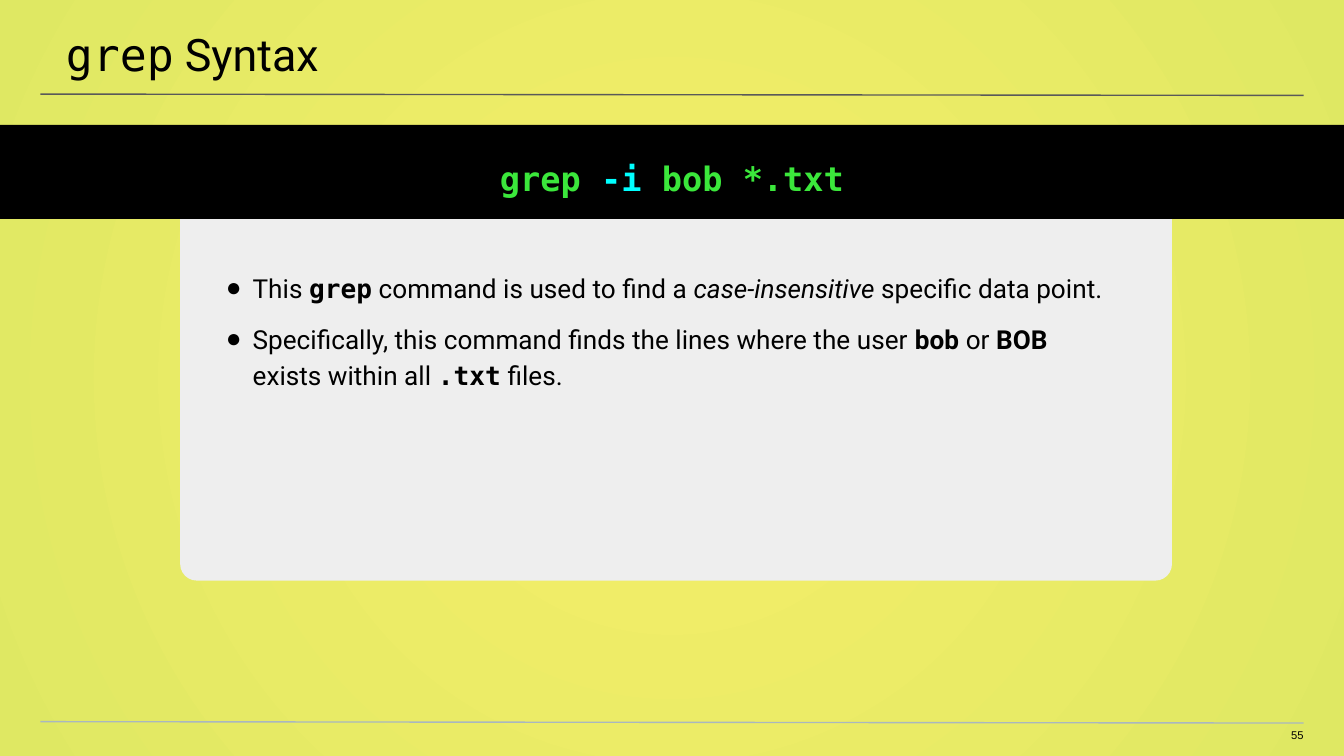
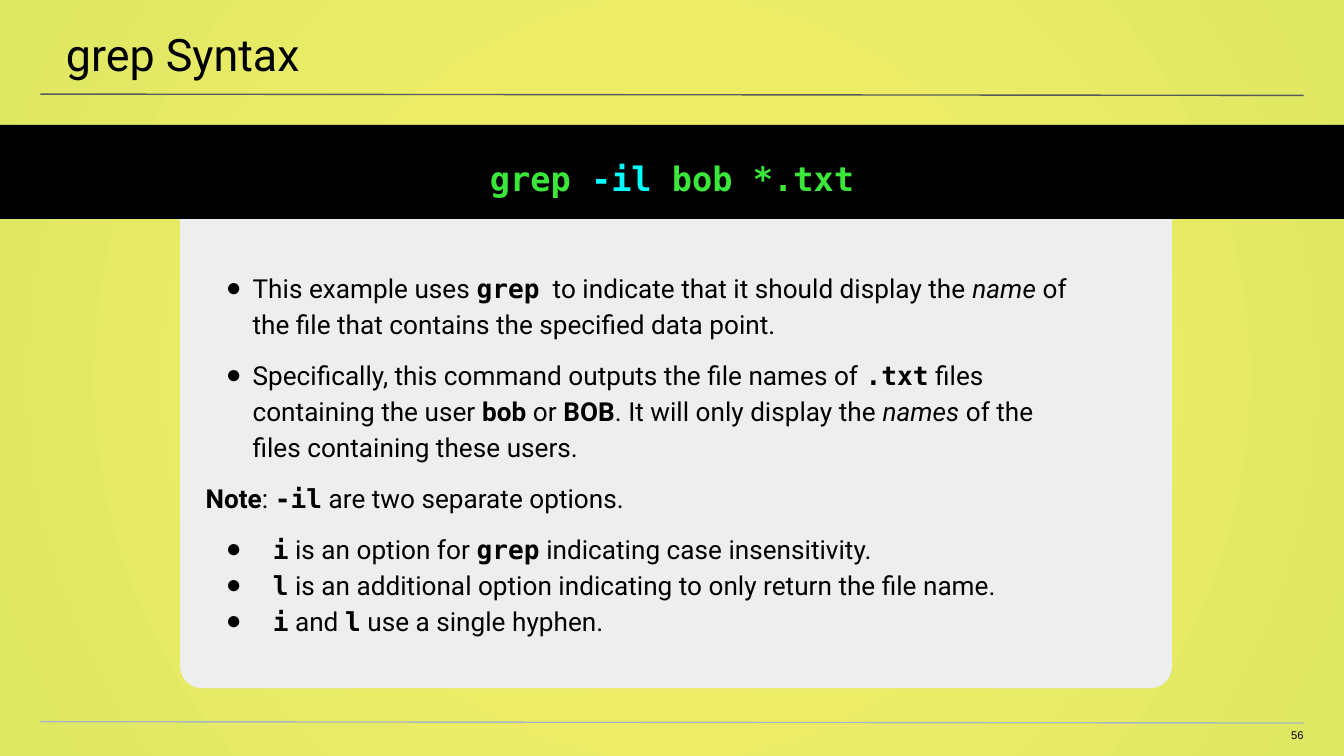
from dataclasses import dataclass

from lxml.etree import SubElement as Sub
from pptx import Presentation
from pptx.dml.color import RGBColor as RGB
from pptx.enum.shapes import MSO_CONNECTOR as Link, MSO_SHAPE as Kind
from pptx.enum.text import MSO_ANCHOR as Anchor, MSO_AUTO_SIZE as Fit, PP_ALIGN as Align
from pptx.oxml import parse_xml
from pptx.oxml.ns import nsdecls, qn
from pptx.util import Inches, Pt


@dataclass(frozen=True)
class Theme:
    ink: str = "000000"
    band: str = "000000"
    panel: str = "EEEEEE"
    green: str = "3BE73B"
    cyan: str = "00FFFF"
    rule: str = "595959"
    foot: str = "A9B7C0"
    glow: str = "F7EF6A"
    edge: str = "DFE863"
    sans: str = "Roboto"
    mono: str = "DejaVu Sans Mono"
    plain: str = "Arial"
    head: int = 24
    cmd: int = 18
    body: int = 14
    page: int = 6


T = Theme()

# Paragraph indents: left margin and first line
ITEM, WIDE, FLAT = (0.35, -0.2), (0.5, -0.35), (0, 0)


def code(words):
    return words, dict(font=T.mono, bold=True)


def bold(words):
    return words, dict(bold=True)


def slant(words):
    return words, dict(italic=True)


def write(para, *parts, size, font=T.sans, color=T.ink, bold=False, italic=False,
          align=Align.LEFT, lead=1.0, before=0):
    """Fill a paragraph with parts: strings, or (string, format changes)."""
    para.alignment, para.line_spacing = align, lead
    para.space_before, para.space_after = Pt(before), Pt(0)
    base = dict(font=font, color=color, bold=bold, italic=italic)
    for part in parts:
        words, change = (part, {}) if isinstance(part, str) else part
        look = base | change
        run = para.add_run()
        run.text = words
        run.font.size, run.font.name = Pt(size), look["font"]
        run.font.bold, run.font.italic = look["bold"], look["italic"]
        run.font.color.rgb = RGB.from_string(look["color"])


def indent(para, left, first):
    """Set the indent, with a bullet when the first line hangs."""
    props = para._p.get_or_add_pPr()
    props.set("marL", str(Inches(left)))
    props.set("indent", str(Inches(first)))
    if not first:
        Sub(props, qn("a:buNone"))
        return
    Sub(Sub(props, qn("a:buClr")), qn("a:srgbClr"), val=T.ink)
    Sub(props, qn("a:buFont"), typeface=T.plain)
    Sub(props, qn("a:buChar"), char="●")


def place(shape, left, top, width, height):
    shape.left, shape.top = Inches(left), Inches(top)
    shape.width, shape.height = Inches(width), Inches(height)


def frame(shape, left, top, right, bottom):
    """Prepare the text frame of a shape and return it."""
    box = shape.text_frame
    box.margin_left, box.margin_top = Inches(left), Inches(top)
    box.margin_right, box.margin_bottom = Inches(right), Inches(bottom)
    box.word_wrap, box.auto_size, box.vertical_anchor = True, Fit.NONE, Anchor.TOP
    return box


def block(slide, kind, color, *area):
    shape = slide.shapes.add_shape(kind, *map(Inches, area))
    shape.shadow.inherit = False
    shape.fill.solid()
    shape.fill.fore_color.rgb = RGB.from_string(color)
    shape.line.fill.background()
    return shape


def rule(slide, top, color):
    line = slide.shapes.add_connector(
        Link.STRAIGHT, Inches(0.3), Inches(top), Inches(9.7), Inches(top + 0.01))
    line.line.width = Pt(0.75)
    line.line.color.rgb = RGB.from_string(color)
    Sub(line._element.spPr, qn("a:effectLst"))


def glow(slide):
    """Radial background, lighter in the middle."""
    fill = slide.background.fill
    fill.gradient()
    old = slide._element.find(".//" + qn("a:gradFill"))
    old.getparent().replace(old, parse_xml(
        f'<a:gradFill {nsdecls("a")} rotWithShape="0"><a:gsLst>'
        f'<a:gs pos="0"><a:srgbClr val="{T.glow}"><a:alpha val="50000"/></a:srgbClr></a:gs>'
        f'<a:gs pos="100000"><a:srgbClr val="{T.edge}"/></a:gs></a:gsLst>'
        '<a:path path="circle"><a:fillToRect l="50000" t="50000" r="50000" b="50000"/>'
        '</a:path></a:gradFill>'))


def build(deck, page, title, flag, tall, area, items):
    slide = deck.slides.add_slide(deck.slide_layouts[1])
    head, body = slide.placeholders

    # Background, rules, title and page number
    glow(slide)
    rule(slide, 0.7, T.rule)
    rule(slide, 5.37, T.foot)
    place(head, -0.01, 0, 10.03, 0.58)
    write(frame(head, 0.5, 0.2, 0.3, 0.1).paragraphs[0], *title, size=T.head)
    num = slide.shapes.add_textbox(*map(Inches, (9.41, 5.42, 0.29, 0.12)))
    write(frame(num, 0, 0, 0, 0.1).paragraphs[0], str(page),
          size=T.page, font=T.plain, align=Align.RIGHT)

    # Panel, rounded at the bottom
    panel = block(slide, Kind.ROUND_2_SAME_RECTANGLE, T.panel, 1.34, 1.57, 7.38, tall)
    panel.rotation = 180
    panel.adjustments[0], panel.adjustments[1] = 0.045, 0

    # Command band
    band = block(slide, Kind.RECTANGLE, T.band, 0, 0.93, 10, 0.7)
    write(frame(band, 0.1, 0.2, 0.1, 0.2).paragraphs[0],
          "grep ", (flag, dict(color=T.cyan)), " bob *.txt",
          size=T.cmd, font=T.mono, color=T.green, bold=True, align=Align.CENTER, lead=1.15)

    # Explanation, in front of the panel
    slide.shapes._spTree.append(body._element)
    place(body, *area)
    box = frame(body, 0.5, 0, 0.5, 1)
    for i, (level, before, *parts) in enumerate(items):
        para = box.add_paragraph() if i else box.paragraphs[0]
        indent(para, *level)
        write(para, *parts, size=T.body, lead=1.15, before=before)


def main():
    deck = Presentation()
    deck.slide_width = Inches(10)
    deck.slide_height = deck.slide_width * 9 // 16

    # Ignoring case
    build(deck, 55, [("grep", dict(font=T.mono)), " Syntax"], "-i", 2.75,
          (1.03, 1.99, 7.75, 2.15), [
        (ITEM, 0, "This ", code("grep"), " command is used to find a ",
         slant("case-insensitive"), " specific data point."),
        (ITEM, 8, "Specifically, this command finds the lines where the user ",
         bold("bob"), " or ", bold("BOB"), " exists within all ", code(".txt"), " files."),
    ])

    # Listing file names
    build(deck, 56, ["grep Syntax"], "-il", 3.55, (1.03, 1.99, 7.46, 3.29), [
        (ITEM, 0, "This example uses ", code("grep"),
         "  to indicate that it should display the ", slant("name"),
         " of the file that contains the specified data point."),
        (ITEM, 8, "Specifically, this command outputs the file names of ", code(".txt"),
         " files containing the user ", bold("bob"), " or ", bold("BOB"),
         ". It will only display the ", slant("names"),
         " of the files containing these users."),
        (FLAT, 8, bold("Note"), ": ", code("-il"), " are two separate options."),
        (WIDE, 8, code("i"), " is an option for ", code("grep"),
         " indicating case insensitivity."),
        (WIDE, 0, code("l"),
         " is an additional option indicating to only return the file name."),
        (WIDE, 0, code("i"), " and ", code("l"), " use a single hyphen."),
    ])

    deck.save("out.pptx")


if __name__ == "__main__":
    main()
